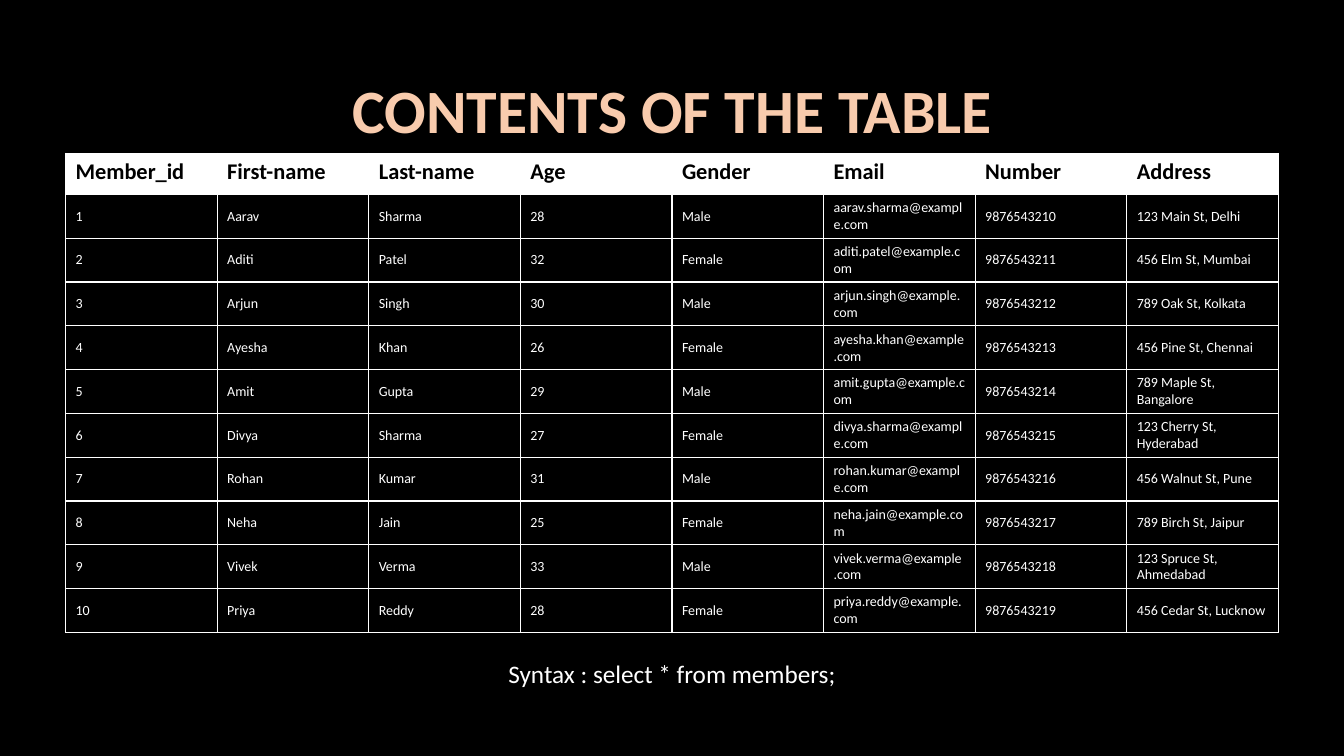
from dataclasses import astuple, dataclass

from lxml import etree
from pptx import Presentation
from pptx.dml.color import RGBColor
from pptx.enum.text import MSO_ANCHOR, MSO_AUTO_SIZE, PP_ALIGN
from pptx.oxml.ns import qn
from pptx.slide import Slide
from pptx.table import _Cell
from pptx.text.text import _Paragraph
from pptx.util import Inches, Pt

CENTER = PP_ALIGN.CENTER
MIDDLE = MSO_ANCHOR.MIDDLE
TOP = MSO_ANCHOR.TOP
NO_AUTOFIT = MSO_AUTO_SIZE.NONE
GROW = MSO_AUTO_SIZE.SHAPE_TO_FIT_TEXT

BLACK = RGBColor(0x00, 0x00, 0x00)
WHITE = RGBColor(0xFF, 0xFF, 0xFF)
PEACH = RGBColor(0xF8, 0xCB, 0xAD)
ORANGE = RGBColor(0xED, 0x7D, 0x31)

FONT = "Calibri"
TITLE_ONLY = 5
HEADER_HEIGHT = 0.41
ROW_HEIGHT = 0.43
INNER_PT, OUTER_PT = 1, 0.5


@dataclass
class Member:
    member_id: int
    first: str
    last: str
    age: int
    gender: str
    number: str
    address: str

    def cells(self) -> list[str]:
        """Texts of the table row, with the email built from the name."""
        *person, number, address = (str(value) for value in astuple(self))
        email = f"{self.first}.{self.last}@example.com".lower()
        return [*person, email, number, address]


HEADERS = ["Member_id", "First-name", "Last-name", "Age",
           "Gender", "Email", "Number", "Address"]
MEMBERS = [
    Member(1, "Aarav", "Sharma", 28, "Male", "9876543210", "123 Main St, Delhi"),
    Member(2, "Aditi", "Patel", 32, "Female", "9876543211", "456 Elm St, Mumbai"),
    Member(3, "Arjun", "Singh", 30, "Male", "9876543212", "789 Oak St, Kolkata"),
    Member(4, "Ayesha", "Khan", 26, "Female", "9876543213", "456 Pine St, Chennai"),
    Member(5, "Amit", "Gupta", 29, "Male", "9876543214", "789 Maple St, Bangalore"),
    Member(6, "Divya", "Sharma", 27, "Female", "9876543215", "123 Cherry St, Hyderabad"),
    Member(7, "Rohan", "Kumar", 31, "Male", "9876543216", "456 Walnut St, Pune"),
    Member(8, "Neha", "Jain", 25, "Female", "9876543217", "789 Birch St, Jaipur"),
    Member(9, "Vivek", "Verma", 33, "Male", "9876543218", "123 Spruce St, Ahmedabad"),
    Member(10, "Priya", "Reddy", 28, "Female", "9876543219", "456 Cedar St, Lucknow"),
]


def set_font(p: _Paragraph, size: float, color: RGBColor, bold: bool = False) -> None:
    p.font.name = FONT
    p.font.size = Pt(size)
    p.font.bold = bold
    p.font.color.rgb = color


def make_line(tag: str, color: RGBColor, width: float) -> etree._Element:
    """Solid line element of the given tag, width in points."""
    line = etree.Element(qn(tag), w=str(Pt(width)))
    fill = etree.SubElement(line, qn("a:solidFill"))
    etree.SubElement(fill, qn("a:srgbClr"), val=str(color))
    return line


def add_title(slide: Slide) -> None:
    sp = slide.shapes.title
    sp.left, sp.top = Inches(0.92), Inches(0.4)
    sp.width, sp.height = Inches(11.5), Inches(1.45)
    tf = sp.text_frame
    tf.auto_size = NO_AUTOFIT
    tf.vertical_anchor = MIDDLE
    p = tf.paragraphs[0]
    p.alignment = CENTER
    p.line_spacing = 0.9
    r = p.add_run()
    r.text = "CONTENTS OF THE TABLE"
    set_font(p, 44, PEACH, bold=True)
    r._r.get_or_add_rPr().insert(0, make_line("a:ln", ORANGE, 1.75))


def add_syntax(slide: Slide) -> None:
    sp = slide.shapes.add_textbox(Inches(3.3), Inches(6.48), Inches(6.73), Inches(0.4))
    tf = sp.text_frame
    tf.word_wrap = True
    tf.auto_size = GROW
    p = tf.paragraphs[0]
    p.text = "Syntax : select * from members;"
    p.alignment = CENTER
    set_font(p, 18, WHITE)


def format_cell(cell: _Cell, text: str, header: bool, outer_sides: set[str]) -> None:
    tc_pr = cell._tc.get_or_add_tcPr()
    for side in "LRTB":
        width = OUTER_PT if side in outer_sides else INNER_PT
        tc_pr.append(make_line(f"a:ln{side}", WHITE, width))
    if header:
        cell.fill.solid()
        cell.fill.fore_color.rgb = WHITE
    else:
        cell.fill.background()
    cell.vertical_anchor = TOP if header else MIDDLE
    p = cell.text_frame.paragraphs[0]
    p.text = text
    set_font(p, 16 if header else 10, BLACK if header else WHITE, bold=header)


def add_members_table(slide: Slide) -> None:
    rows = [HEADERS, *(member.cells() for member in MEMBERS)]
    last_row, last_col = len(rows) - 1, len(HEADERS) - 1
    height = HEADER_HEIGHT + len(MEMBERS) * ROW_HEIGHT
    table = slide.shapes.add_table(len(rows), len(HEADERS), Inches(0.65), Inches(1.52),
                                   Inches(12.03), Inches(height)).table
    table.horz_banding = False
    for i, texts in enumerate(rows):
        table.rows[i].height = Inches(ROW_HEIGHT if i else HEADER_HEIGHT)
        for j, text in enumerate(texts):
            edges = {"L": j == 0, "R": j == last_col, "T": i == 0, "B": i == last_row}
            outer_sides = {side for side, outer in edges.items() if outer}
            format_cell(table.cell(i, j), text, i == 0, outer_sides)


def main() -> None:
    prs = Presentation()
    prs.slide_width, prs.slide_height = Inches(13.33), Inches(7.5)
    slide = prs.slides.add_slide(prs.slide_layouts[TITLE_ONLY])
    slide.background.fill.solid()
    slide.background.fill.fore_color.rgb = BLACK
    add_title(slide)
    add_syntax(slide)
    add_members_table(slide)
    prs.save("out.pptx")


if __name__ == "__main__":
    main()
